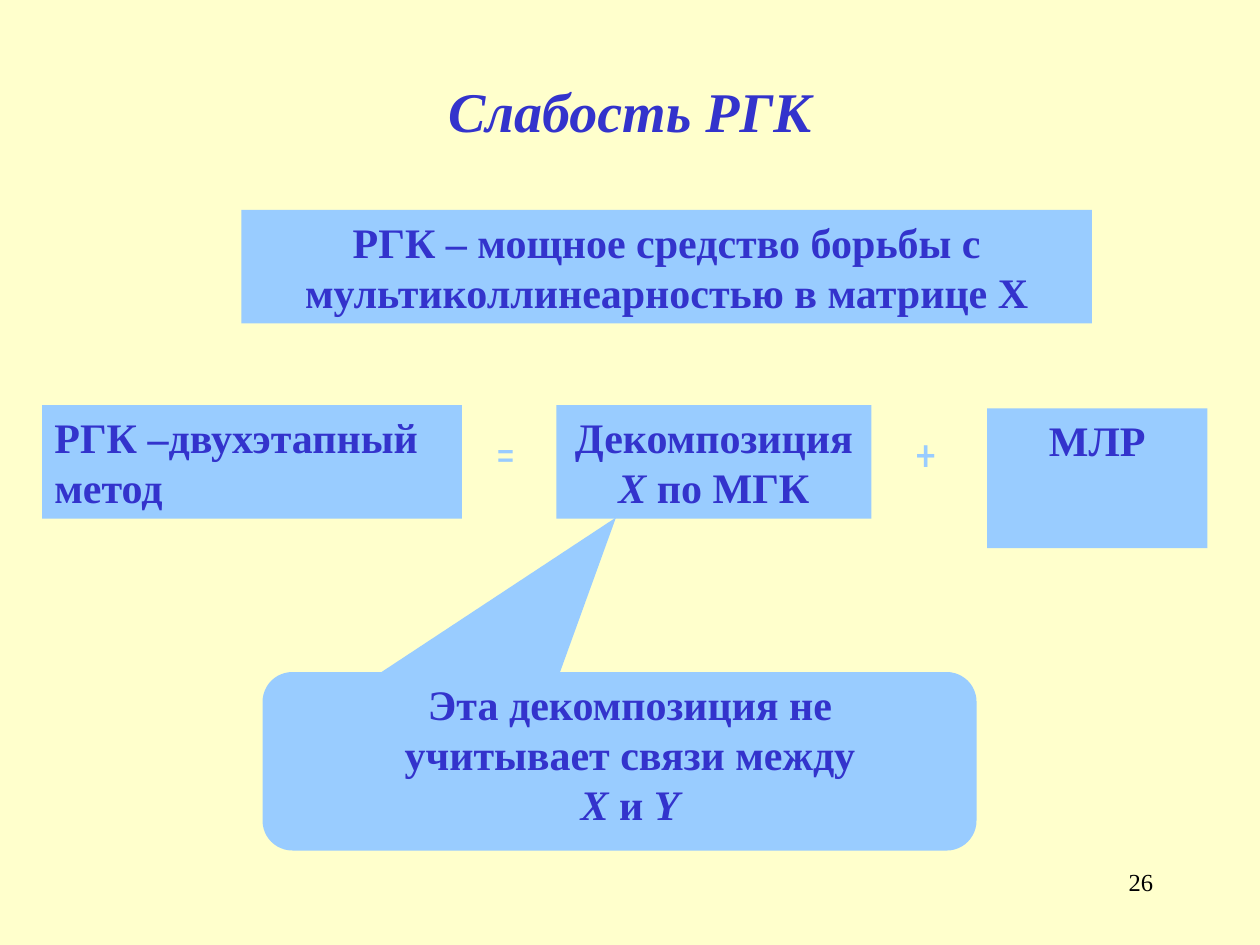
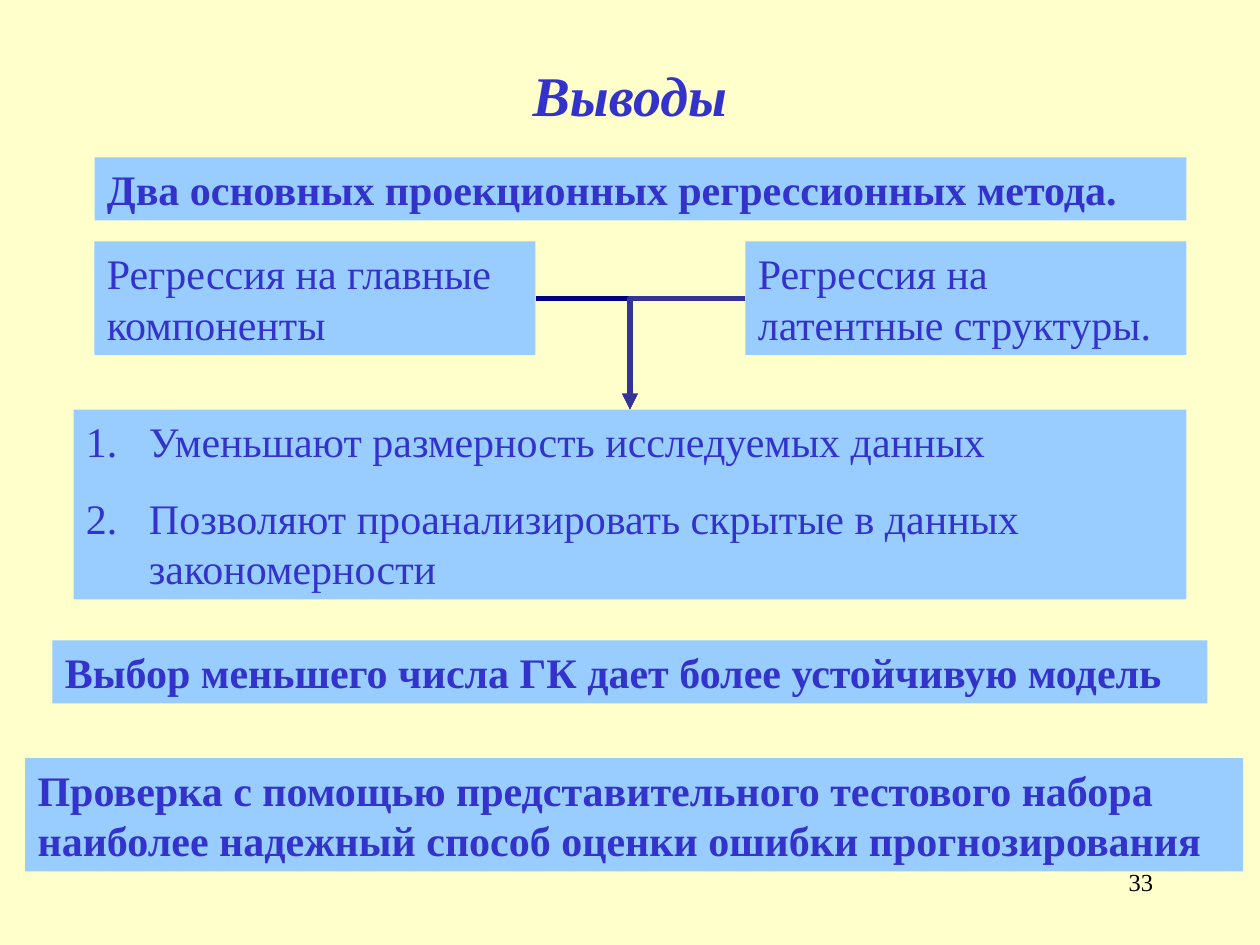
from lxml import etree
from pptx import Presentation
from pptx.dml.color import RGBColor
from pptx.enum.shapes import MSO_CONNECTOR, MSO_SHAPE
from pptx.enum.text import MSO_ANCHOR, PP_ALIGN
from pptx.oxml.ns import qn
from pptx.util import Inches, Pt

RECT = MSO_SHAPE.RECTANGLE
CALLOUT = MSO_SHAPE.ROUNDED_RECTANGULAR_CALLOUT
ELBOW = MSO_CONNECTOR.ELBOW
TOP, MIDDLE = MSO_ANCHOR.TOP, MSO_ANCHOR.MIDDLE
LEFT, CENTER, RIGHT = PP_ALIGN.LEFT, PP_ALIGN.CENTER, PP_ALIGN.RIGHT

# Shared look
CREAM, SKY, INDIGO, BLACK = "FFFFCC", "99CCFF", "3333CC", "000000"
SERIF, CONDENSED = "Times New Roman", "Roboto Condensed"

# Grid: 120 columns by 90 rows, each a twelfth of an inch
CELL = Inches(1) / 12
COLUMNS, ROWS = 120, 90


def paint(target, color):
    """Give a fill or a background fill one solid colour."""
    target.solid()
    target.fore_color.rgb = RGBColor.from_string(color)


def write(slide, text, area, fill=SKY, size=24, font=SERIF, color=INDIGO, bold=True,
          italic=False, align=LEFT, anchor=TOP, wrap=True, numbered=False):
    """Place text on the grid; lines are paragraphs, _marked_ parts are italic."""
    place = [round(n * CELL) for n in area]
    if fill:
        box = slide.shapes.add_shape(RECT, *place)
        box.shadow.inherit = False
        paint(box.fill, fill)
        box.line.fill.background()
    else:
        box = slide.shapes.add_textbox(*place)
    frame = box.text_frame
    frame.word_wrap = wrap
    frame.vertical_anchor = anchor
    for number, line in enumerate(text.split("\n")):
        paragraph = frame.add_paragraph() if number else frame.paragraphs[0]
        paragraph.alignment = align
        if fill:
            paragraph.space_before = Pt(15)
        for part, words in enumerate(line.split("_")):
            if words:
                run = paragraph.add_run()
                run.text = words
                run.font.size, run.font.name = Pt(size), font
                run.font.bold, run.font.italic = bold, italic or part % 2 == 1
                paint(run.font.fill, color)
        if numbered:
            props = paragraph._p.get_or_add_pPr()
            props.set("marL", str(Inches(0.5)))
            props.set("indent", str(-Inches(0.5)))
            etree.SubElement(props, qn("a:buFont"), typeface="+mj-lt")
            etree.SubElement(props, qn("a:buAutoNum"), type="arabicPeriod")


deck = Presentation()
deck.slide_width, deck.slide_height = round(COLUMNS * CELL), round(ROWS * CELL)

# Background, title and page number of both slides
slides = []
for title, page, title_row, title_rows in (("Слабость РГК", 26, 6, 9), ("Выводы", 33, 4, 10)):
    slide = deck.slides.add_slide(deck.slide_layouts[6])
    paint(slide.background.fill, CREAM)
    write(slide, title, (9, title_row, 102, title_rows), fill=None, size=32,
          italic=True, align=CENTER, anchor=MIDDLE)
    write(slide, str(page), (86, 82, 25, 6), fill=None, size=14, color=BLACK,
          bold=False, align=RIGHT)
    slides.append(slide)
weakness, conclusions = slides

# Weakness: callout pointing up at the decomposition
callout = weakness.shapes.add_shape(CALLOUT, *[round(n * CELL) for n in (25, 64, 68, 17)])
callout.rotation = 180
callout.shadow.inherit = False
paint(callout.fill, SKY)
callout.line.fill.background()
for index, share in enumerate((0.005, 1.366, 0.167)):
    callout.adjustments[index] = share
write(weakness, "Эта декомпозиция не учитывает связи между _X_ и _Y_",
      (37, 64, 46, 15.6), fill=None, align=CENTER)

# Weakness: statement and the two-stage equation
write(weakness, "РГК – мощное средство борьбы с мультиколлинеарностью в матрице X",
      (23, 20, 81, 10.8), align=CENTER)
write(weakness, "РГК –двухэтапный метод", (4, 38.6, 40, 10.8))
write(weakness, "Декомпозиция _X_ по МГК", (53, 38.6, 30, 10.8), align=CENTER)
write(weakness, "МЛР", (94, 38.9, 21, 13.3), align=CENTER)
for sign, column in (("=", 46), ("+", 86)):
    write(weakness, sign, (column, 40.2, 5.3, 7.4), fill=None, font=CONDENSED,
          color=SKY, bold=False, wrap=False)

# Conclusions: two methods and what they share
write(conclusions, "Два основных проекционных регрессионных метода.", (9, 15, 104, 6))
for method, column in (("Регрессия на главные компоненты", 9),
                       ("Регрессия на латентные структуры.", 71)):
    write(conclusions, method, (column, 23, 42, 10.8), bold=False)
write(conclusions, "Уменьшают размерность исследуемых данных\n"
      "Позволяют проанализировать скрытые в данных закономерности",
      (7, 39, 106, 18.1), bold=False, numbered=True)
write(conclusions, "Выбор меньшего числа ГК дает более устойчивую модель", (5, 61, 110, 6))
write(conclusions, "Проверка с помощью представительного тестового набора "
      "наиболее надежный способ оценки ошибки прогнозирования", (2.4, 72.2, 116, 10.8))

# Conclusions: arrows from both methods meeting above the list
for start_column, color in ((51, "000080"), (71, "333399")):
    ends = [round(n * CELL) for n in (start_column, 28.4, 60, 39)]
    arrow = conclusions.shapes.add_connector(ELBOW, *ends)
    arrow.line.width = Pt(3)
    paint(arrow.line.fill, color)
    props = arrow._element.spPr
    props.find(qn("a:prstGeom")).set("prst", "bentConnector2")
    etree.SubElement(arrow.line._get_or_add_ln(), qn("a:tailEnd"), type="triangle")
    etree.SubElement(props, qn("a:effectLst"))

deck.save("out.pptx")
